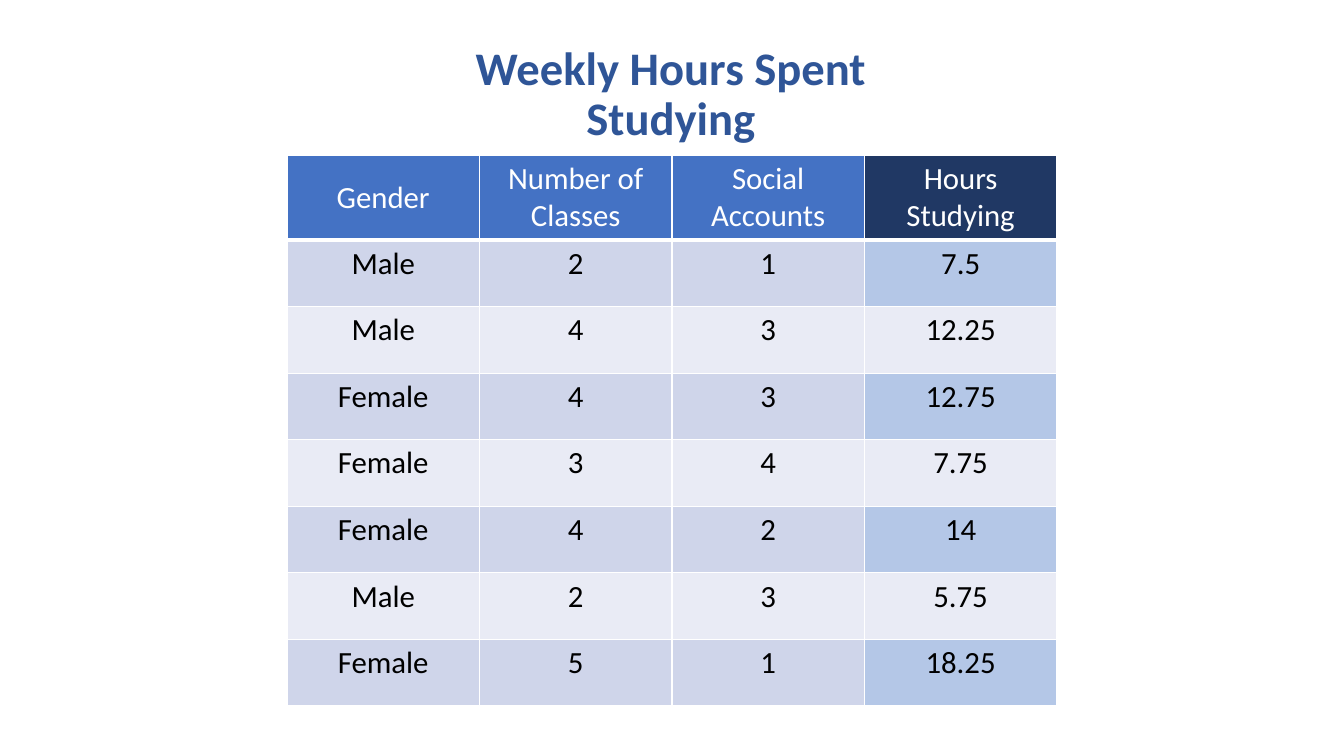
from lxml import etree
from pptx import Presentation
from pptx import util as u
from pptx.dml.color import RGBColor
from pptx.enum import text
from pptx.oxml import ns

PX = 914400 / 100.8
FONT = "Calibri"
WHITE, BLACK = "FFFFFF", "000000"
HEADER_FILLS = ["4472C4"] * 3 + ["203864"]
ODD_FILLS = ["CFD5EA"] * 3 + ["B4C7E7"]
EVEN_FILLS = ["E9EBF5"] * 4
HEADERS = ["Gender", "Number of Classes", "Social\nAccounts", "Hours\nStudying"]
STUDENTS = [
    ("Male", "2", "1", "7.5"),
    ("Male", "4", "3", "12.25"),
    ("Female", "4", "3", "12.75"),
    ("Female", "3", "4", "7.75"),
    ("Female", "4", "2", "14"),
    ("Male", "2", "3", "5.75"),
    ("Female", "5", "1", "18.25"),
]


def px(length):
    """Turn pixels into EMU."""
    return u.Emu(round(length * PX))


def rgb(value):
    """Turn a hex string into a colour."""
    return RGBColor.from_string(value)


def style_paragraph(paragraph, size, color, bold=False):
    """Centre a paragraph and set its font."""
    paragraph.alignment = text.PP_ALIGN.CENTER
    font = paragraph.font
    font.name, font.size, font.bold = FONT, u.Pt(size), bold
    font.color.rgb = rgb(color)


def add_borders(cell, bottom):
    """Draw white cell borders, with the bottom one at the given points."""
    properties = cell._tc.get_or_add_tcPr()
    for side, width in (("L", 1), ("R", 1), ("T", 1), ("B", bottom)):
        line = etree.SubElement(properties, ns.qn(f"a:ln{side}"), w=str(u.Pt(width)))
        fill = etree.SubElement(line, ns.qn("a:solidFill"))
        etree.SubElement(fill, ns.qn("a:srgbClr"), val=WHITE)


def fill_row(row, values, fills, color, bottom=1):
    """Write and style the cells of one table row."""
    for cell, value, fill in zip(row.cells, values, fills):
        cell.text = value
        add_borders(cell, bottom)
        cell.fill.solid()
        cell.fill.fore_color.rgb = rgb(fill)
        for paragraph in cell.text_frame.paragraphs:
            style_paragraph(paragraph, 22, color)


def add_title(slide, left, top, width, height):
    """Add the slide title in the given box."""
    frame = slide.shapes.add_textbox(px(left), px(top), px(width), px(height)).text_frame
    frame.word_wrap = True
    frame.vertical_anchor = text.MSO_ANCHOR.MIDDLE
    paragraph = frame.paragraphs[0]
    paragraph.text = "Weekly Hours Spent Studying"
    paragraph.line_spacing = 0.9
    style_paragraph(paragraph, 33.3, "2F5597", True)


def add_study_table(slide, left, top, width, height, header_height):
    """Add the table of students in the given box."""
    table = slide.shapes.add_table(
        len(STUDENTS) + 1, len(HEADERS), px(left), px(top), px(width), px(height)
    ).table
    table.first_row = table.horz_banding = False
    for column in table.columns:
        column.width = px(width / len(HEADERS))
    header, *body = table.rows
    header.height = px(header_height)
    fill_row(header, HEADERS, HEADER_FILLS, WHITE, 3)
    table.cell(0, 0).text_frame.paragraphs[0].line_spacing = 1.5
    for index, (row, student) in enumerate(zip(body, STUDENTS)):
        row.height = px((height - header_height) / len(STUDENTS))
        fill_row(row, student, EVEN_FILLS if index % 2 else ODD_FILLS, BLACK)


def main():
    """Build and save the slide."""
    presentation = Presentation()
    presentation.slide_width, presentation.slide_height = px(1344), px(756)
    slide = presentation.slides.add_slide(presentation.slide_layouts[6])
    add_study_table(slide, 287, 155, 770, 551, 85)
    add_title(slide, 393, 49, 556, 93)
    presentation.save("out.pptx")


if __name__ == "__main__":
    main()
